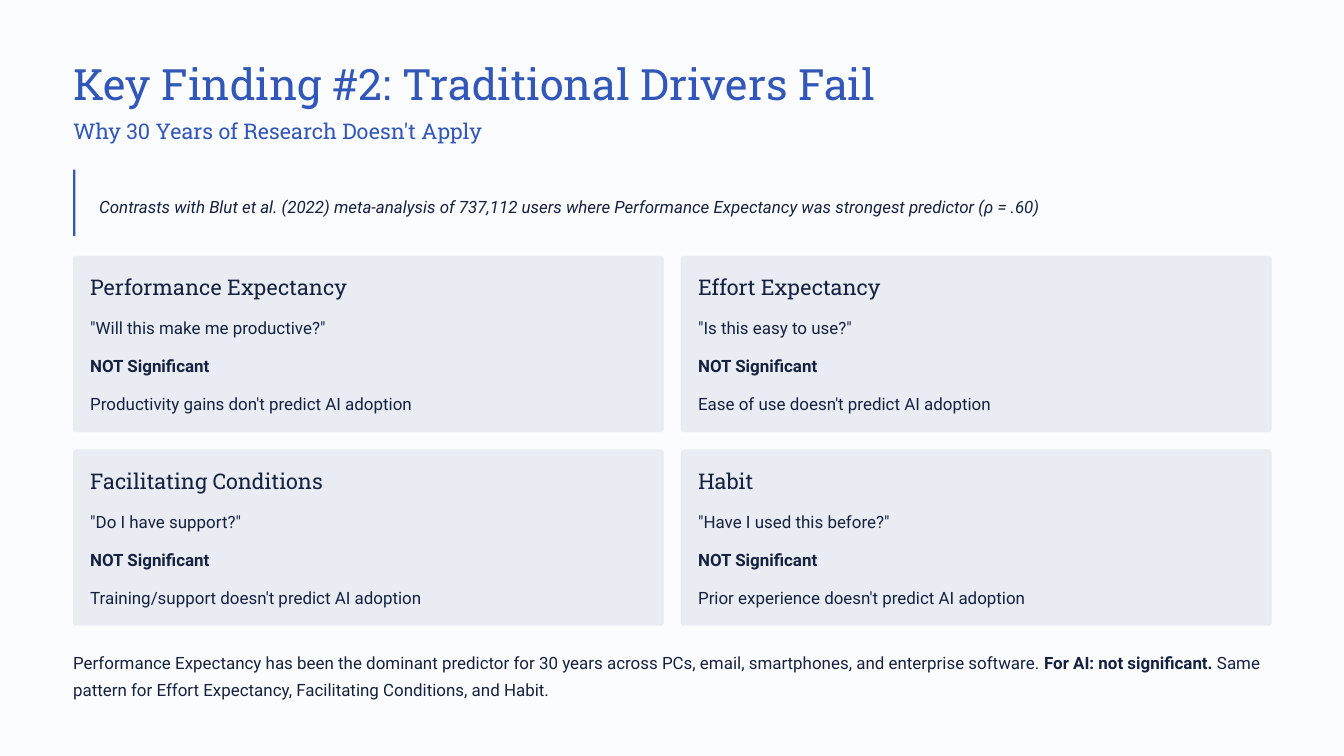
from pptx import Presentation
from pptx.dml.color import RGBColor
from pptx.enum.shapes import MSO_SHAPE as Shape
from pptx.enum.text import MSO_ANCHOR as Anchor, MSO_AUTO_SIZE as AutoSize, PP_ALIGN as Align
from pptx.util import Cm, Pt

BLUE = RGBColor(0x32, 0x57, 0xB8)
NAVY = RGBColor(0x15, 0x21, 0x3F)
CARD_FILL = RGBColor(0xE9, 0xEC, 0xF2)
PAPER = RGBColor(0xFB, 0xFC, 0xFE)

TITLE = {"name": "Roboto Slab", "size": 37, "color": BLUE, "spacing": 46}
SUBTITLE = {**TITLE, "size": 18.5, "spacing": 23}
CARD_HEADING = {**SUBTITLE, "color": NAVY}
BODY = {"name": "Roboto", "size": 14.5, "color": NAVY, "spacing": 23.5}
BOLD = {**BODY, "bold": True}
QUOTE = {**BODY, "italic": True}

LEFT, CONTENT_WIDTH = 2.21, 36.22
CARDS_TOP, CARD_WIDTH, CARD_HEIGHT, CARD_GAP = 7.74, 17.86, 5.33, 0.52
CARD_INSET = 0.52
LINE_TOPS = (0.52, 1.65, 2.8, 3.95)

CARDS = [
    ("Performance Expectancy", '"Will this make me productive?"',
     "Productivity gains don't predict AI adoption"),
    ("Effort Expectancy", '"Is this easy to use?"',
     "Ease of use doesn't predict AI adoption"),
    ("Facilitating Conditions", '"Do I have support?"',
     "Training/support doesn't predict AI adoption"),
    ("Habit", '"Have I used this before?"',
     "Prior experience doesn't predict AI adoption"),
]


class SlideBuilder:
    def __init__(self, presentation):
        self.slide = presentation.slides.add_slide(presentation.slide_layouts[5])
        background = self.slide.background.fill
        background.solid()
        background.fore_color.rgb = PAPER

    def fill_text(self, shape, runs, wrap=False):
        """Fill a shape with one paragraph of (text, style) runs."""
        frame = shape.text_frame
        settings = {"margin_left": 0, "margin_top": 0, "margin_right": 0,
                    "margin_bottom": 0, "word_wrap": wrap,
                    "auto_size": AutoSize.NONE, "vertical_anchor": Anchor.TOP}
        for name, value in settings.items():
            setattr(frame, name, value)
        paragraph = frame.paragraphs[0]
        paragraph.alignment = Align.LEFT
        paragraph.space_before = Pt(0)
        paragraph.line_spacing = Pt(runs[0][1]["spacing"])
        for text, style in runs:
            run = paragraph.add_run()
            run.text = text
            run.font.color.rgb = style["color"]
            font_values = {"name": style["name"], "size": Pt(style["size"]),
                           "bold": style.get("bold", False),
                           "italic": style.get("italic", False)}
            for name, value in font_values.items():
                setattr(run.font, name, value)

    def title(self, text, left, top, width, height):
        shape = self.slide.shapes.title
        position = {"left": left, "top": top, "width": width, "height": height}
        for name, value in position.items():
            setattr(shape, name, Cm(value))
        self.fill_text(shape, [(text, TITLE)])

    def text(self, runs, left, top, width, height=0.84, wrap=False):
        box = self.slide.shapes.add_textbox(Cm(left), Cm(top), Cm(width), Cm(height))
        self.fill_text(box, runs, wrap)

    def block(self, kind, color, left, top, width, height):
        shape = self.slide.shapes.add_shape(kind, Cm(left), Cm(top), Cm(width), Cm(height))
        shape.shadow.inherit = False
        shape.fill.solid()
        shape.fill.fore_color.rgb = color
        shape.line.fill.background()
        return shape

    def card(self, left, top, heading, question, finding):
        card = self.block(Shape.ROUNDED_RECTANGLE, CARD_FILL,
                          left, top, CARD_WIDTH, CARD_HEIGHT)
        card.adjustments[0] = 0.015
        lines = [(heading, CARD_HEADING), (question, BODY),
                 ("NOT Significant", BOLD), (finding, BODY)]
        for offset, line in zip(LINE_TOPS, lines):
            self.text([line], left + CARD_INSET, top + offset,
                      CARD_WIDTH - 2 * CARD_INSET)


def main():
    presentation = Presentation()
    presentation.slide_width, presentation.slide_height = Cm(40.64), Cm(22.86)
    builder = SlideBuilder(presentation)

    # Title and subtitle
    builder.title("Key Finding #2: Traditional Drivers Fail", LEFT, 1.68, 24.33, 1.63)
    builder.text([("Why 30 Years of Research Doesn't Apply", SUBTITLE)],
                 LEFT, 3.53, 12.37)

    # Quote with a bar on its left
    builder.text([("Contrasts with Blut et al. (2022) meta-analysis of 737,112 users "
                   "where Performance Expectancy was strongest predictor (ρ = .60)", QUOTE)],
                 3.0, 5.72, 35.43)
    builder.block(Shape.RECTANGLE, BLUE, LEFT, 5.13, 0.07, 2.01)

    # Two by two grid of cards
    for index, content in enumerate(CARDS):
        row, column = divmod(index, 2)
        builder.card(LEFT + column * (CARD_WIDTH + CARD_GAP),
                     CARDS_TOP + row * (CARD_HEIGHT + CARD_GAP), *content)

    # Closing statement
    builder.text([("Performance Expectancy has been the dominant predictor for 30 years "
                   "across PCs, email, smartphones, and enterprise software. ", BODY),
                  ("For AI: not significant.", BOLD),
                  (" Same pattern for Effort Expectancy, Facilitating Conditions, "
                   "and Habit.", BODY)],
                 LEFT, 19.51, CONTENT_WIDTH, 1.68, wrap=True)

    presentation.save("out.pptx")


if __name__ == "__main__":
    main()
